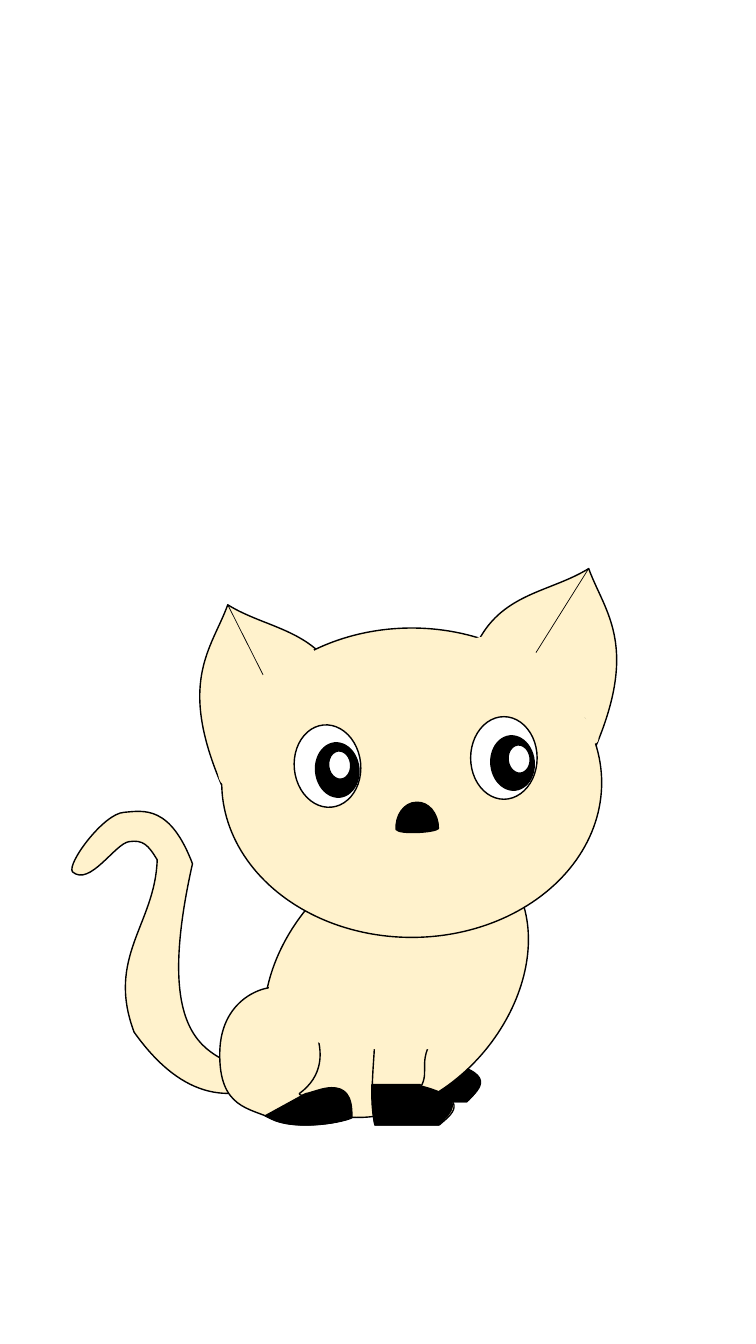
from math import cos, radians, sin
from lxml.etree import SubElement
from pptx import Presentation
from pptx.dml.color import RGBColor
from pptx.enum.shapes import MSO_CONNECTOR, MSO_SHAPE
from pptx.oxml.ns import qn
from pptx.util import Pt

CREAM, BLACK, WHITE = "FFF2CC", "000000", "FFFFFF"
OVAL, RECT = MSO_SHAPE.OVAL, MSO_SHAPE.RECTANGLE

deck = Presentation()
deck.slide_width, deck.slide_height = Pt(540), Pt(960)
slide = deck.slides.add_slide(deck.slide_layouts[6])


def paint(shape, fill, line=BLACK, turn=0):
    shape.shadow.inherit = False
    shape.fill.solid()
    shape.fill.fore_color.rgb = RGBColor.from_string(fill)
    if line:
        shape.line.color.rgb = RGBColor.from_string(line)
        shape.line.width = Pt(1)
    else:
        shape.line.fill.background()
    shape.rotation = turn % 360


def trace(box, parts, fill, turn=0):
    """Draw a closed outline in a box: a start, then line ends or curves."""
    x, y, w, h = box
    pen = cat.build_freeform(Pt(x), Pt(y))
    pen.add_line_segments([(Pt(x + w), Pt(y + h))])
    shape = pen.convert_to_shape()
    paint(shape, fill, turn=turn)
    route = shape._element.find(".//" + qn("a:path"))
    for step in list(route):
        route.remove(step)
    co, si = cos(radians(turn)), sin(radians(turn))
    for i, part in enumerate(parts):
        name = "a:cubicBezTo" if len(part) == 6 else "a:lnTo" if i else "a:moveTo"
        step = SubElement(route, qn(name))
        for px, py in zip(part[::2], part[1::2]):
            # Undo the rotation, which the shape applies again
            dx, dy = px - x - w / 2, py - y - h / 2
            dot = SubElement(step, qn("a:pt"))
            dot.set("x", str(Pt(w / 2 + dx * co + dy * si)))
            dot.set("y", str(Pt(h / 2 - dx * si + dy * co)))
    SubElement(route, qn("a:close"))


# Backdrop
floor = slide.shapes.add_shape(RECT, Pt(0), Pt(311.8), Pt(540), Pt(648))
paint(floor, WHITE, WHITE)
cat = slide.shapes.add_group_shape().shapes

# Far leg and its paw
trace((285.1, 658.1, 56.2, 128.9), [
    (288, 719.3),
    (304.6, 699.1, 312.5, 684.7, 339.1, 658.1),
    (347, 755.3, 337, 748.8, 314.6, 759.6),
    (353.5, 769, 340.6, 779.8, 333.4, 787),
    (288, 787), (282.2, 761, 288, 741.6, 288, 719.3)], CREAM)
paw = [(320.4, 758.2), (285.8, 758.2), (285.8, 759.6),
       (285.8, 768.2, 285.8, 776.9, 288, 787), (333.4, 787),
       (339.8, 779.8, 357.8, 768.2, 319.7, 758.9), (320.4, 758.2)]
trace((285.8, 758.2, 57.6, 28.8), paw, BLACK)

# Tail
trace((51.1, 579.6, 133.9, 201.6), [
    (51.8, 622.8),
    (47.5, 617, 74.2, 581, 88.6, 580.3),
    (103, 578.9, 121.7, 575.3, 137.5, 617),
    (100.8, 780.5, 177.8, 745.2, 185, 777.6),
    (167, 782.6, 133.2, 789.8, 95.8, 737.3),
    (75.6, 683.3, 110.9, 660.2, 112.3, 614.2),
    (105.8, 603.4, 102.2, 599.8, 92.2, 601.2),
    (82.1, 602.6, 64.1, 633.6, 51.8, 622.8)], CREAM)

# Body
body = cat.add_shape(OVAL, Pt(201.6), Pt(589.7), Pt(162.7), Pt(219.6))
paint(body, CREAM, turn=40.7)

# Ears: the right one mirrors the left and sits higher
ear = [(160.6, 565.9), (125.3, 487.4, 151.2, 463.7, 162.7, 432),
       (189.4, 448.6, 223.2, 449.3, 241.2, 483.1), (160.6, 565.9)]
twin = [tuple(v - 25.9 if i % 2 else 583.2 - v for i, v in enumerate(part))
        for part in ear]
trace((123.1, 431.3, 112.3, 113.8), ear, CREAM, -30.9)
trace((347.8, 406.1, 112.3, 113.8), twin, CREAM, 30.9)

# Ear creases
for ends in [(162.7, 432, 206.6, 519.1), (420.5, 406.1, 360, 502.6)]:
    crease = cat.add_connector(MSO_CONNECTOR.STRAIGHT, *[Pt(v) for v in ends])
    crease.line.color.rgb = RGBColor.from_string(BLACK)
    crease.line.width = Pt(0.5)
    SubElement(crease._element.spPr, qn("a:effectLst"))

# Head and whites of the eyes
for x, y, w, h, fill, turn in [
        (158.4, 448.6, 271.4, 221, CREAM, 0),
        (336.2, 511.9, 47.5, 59, WHITE, 0),
        (210.2, 517.7, 47.5, 59, WHITE, -5.7)]:
    paint(cat.add_shape(OVAL, Pt(x), Pt(y), Pt(w), Pt(h)), fill, turn=turn)

# Haunch
trace((157, 704.9, 93.6, 98.6), [
    (157, 751.7),
    (157.7, 710.6, 193.7, 701.3, 203.8, 706.3),
    (213.1, 711.4, 248.4, 756, 213.8, 781.2),
    (215.3, 788.4, 252, 759.6, 250.6, 798.5),
    (240.5, 802.8, 209.5, 807.1, 194.4, 799.2),
    (178.6, 791.3, 156.2, 792, 157, 751.7)], CREAM)

# Near leg
trace((265.7, 735.8, 58.3, 67.7), [
    (267.8, 735.8), (313.9, 735.8),
    (295.9, 757.4, 308.2, 764.6, 300.2, 776.9),
    (339.1, 785.5, 321.1, 797, 313.9, 803.5),
    (267.8, 803.5), (263.5, 777.6, 267.8, 758.9, 267.8, 735.8)], CREAM)

# Pupils and glints
for w, h, fill, spots in [
        (31, 38.9, BLACK, [(225.4, 530.6), (350.6, 525.6)]),
        (15.8, 20.2, WHITE, [(362.9, 532.1), (234.7, 536.4)])]:
    for x, y in spots:
        paint(cat.add_shape(OVAL, Pt(x), Pt(y), Pt(w), Pt(h)), fill, turn=-5.7)

# Nose
trace((282.2, 573.1, 31, 21.6), [
    (313.2, 591.8),
    (313.2, 581, 306, 572.4, 297.4, 573.1),
    (288.7, 573.1, 282.2, 582.5, 283, 592.6),
    (285.8, 596.2, 311, 594.7, 313.2, 591.8)], BLACK, -2.6)

# Patches that hide the seams of legs and ears
for kind, x, y, w, h, turn in [
        (RECT, 256.3, 710.6, 65.5, 38.9, 0),
        (RECT, 188.6, 703.4, 65.5, 38.9, 15.3),
        (OVAL, 132.5, 491.8, 116.6, 38.9, 302.3),
        (OVAL, 327.6, 465.8, 98.6, 38.9, 211.3),
        (OVAL, 335.5, 491, 98.6, 25.9, 211.3)]:
    paint(cat.add_shape(kind, Pt(x), Pt(y), Pt(w), Pt(h)), CREAM, None, turn)

# Near paw: the far paw moved left and down
near = [tuple(v + (16.6 if i % 2 else -20.2) for i, v in enumerate(part))
        for part in paw]
trace((265.6, 774.8, 57.6, 28.8), near, BLACK)

# Hind paw
trace((206.6, 766.8, 32.4, 59), [
    (236.9, 776.9),
    (230.4, 776.9, 222.5, 780.5, 218.2, 781.2),
    (218.2, 781.2), (189.4, 797), (193.7, 799.2),
    (209.5, 807.1, 241.2, 802.8, 251.3, 798.5),
    (252, 781.2, 245.5, 776.9, 236.9, 776.9)], BLACK, 240.1)

deck.save("out.pptx")
